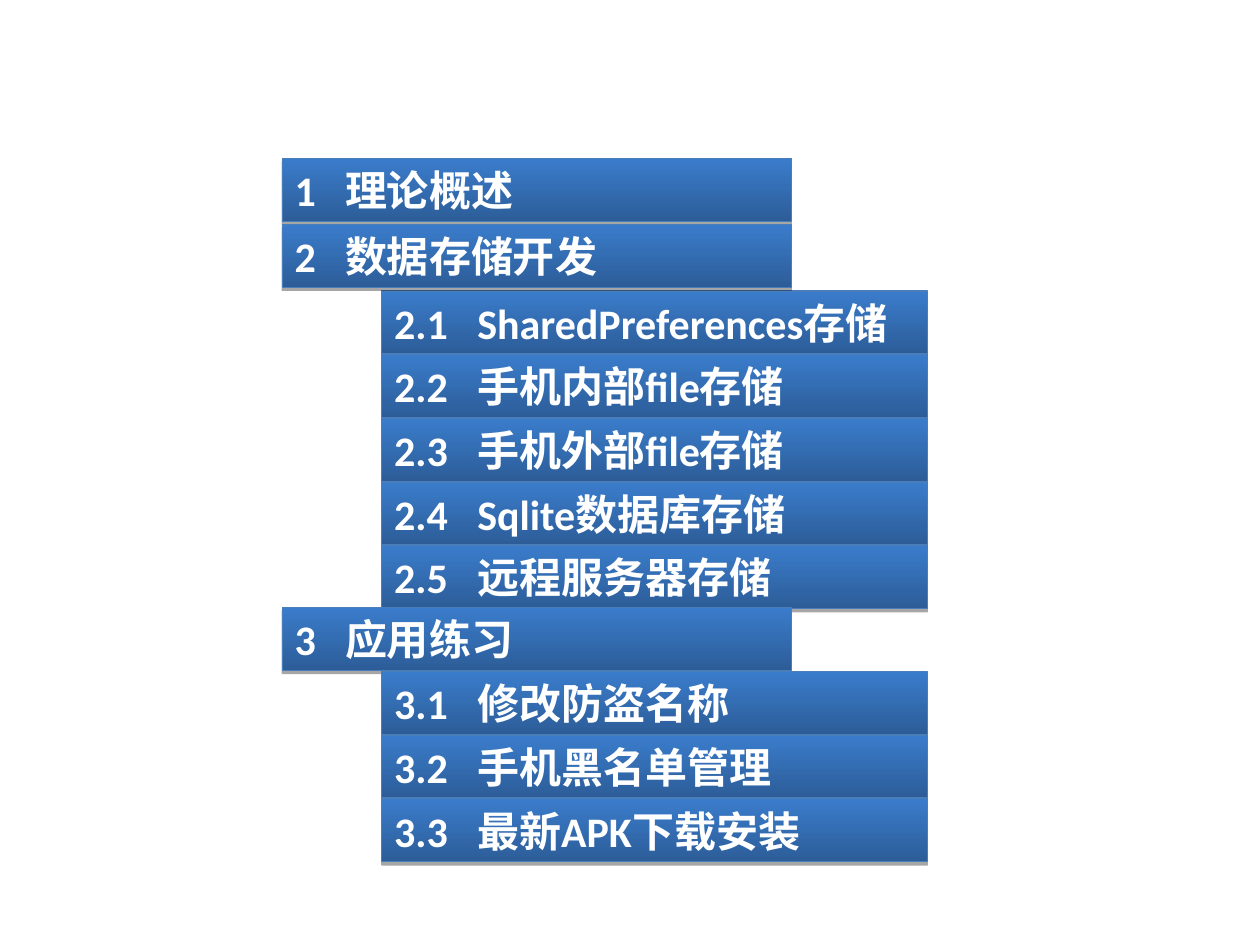
import pptx
import pptx.dml.color
import pptx.enum.shapes
import pptx.enum.text
import pptx.oxml
import pptx.oxml.ns
import pptx.util
from pptx.util import Inches

COLORS = {
    "bar_bottom": "2C5D98",
    "bar_top": "3A7CCB",
    "border": "4A7EBB",
    "shadow": "000000",
    "text": "FFFFFF",
}
BAR_HEIGHT = 0.5
SECTION_PITCH = 0.505

# Bars are stacked in this order; later ones overlap earlier ones.
CHAPTER_1 = (1.26, "1", "理论概述")
CHAPTER_2 = (1.78, "2", "数据存储开发")
CHAPTER_3 = (4.82, "3", "应用练习")
STORAGE_SECTIONS = [
    "SharedPreferences存储",
    "手机内部file存储",
    "手机外部file存储",
    "Sqlite数据库存储",
    "远程服务器存储",
]
PRACTICE_SECTIONS = ["修改防盗名称", "手机黑名单管理", "最新APK下载安装"]


def rgb(name):
    return pptx.dml.color.RGBColor.from_string(COLORS[name])


class Outline:
    """Holds the agenda style and the slide being filled."""

    font_name = "Calibri"
    font_size = pptx.util.Pt(24)

    def __init__(self, slide):
        self.slide = slide

    def bar(self, left, top, width, number, title, title_tab):
        """Draw one bar whose title starts at title_tab inches inside the text area."""
        bar = self.slide.shapes.add_shape(
            pptx.enum.shapes.MSO_SHAPE.RECTANGLE,
            Inches(left), Inches(top), Inches(width), Inches(BAR_HEIGHT),
        )
        bar.fill.gradient()
        bar.fill.gradient_angle = 90
        for stop, color in zip(bar.fill.gradient_stops, ("bar_bottom", "bar_top")):
            stop.color.rgb = rgb(color)
        bar.line.color.rgb = rgb("border")
        bar.line.width = pptx.util.Pt(0.75)
        self.drop_shadow(bar)

        frame = bar.text_frame
        frame.word_wrap = True
        frame.auto_size = pptx.enum.text.MSO_AUTO_SIZE.SHAPE_TO_FIT_TEXT
        frame.vertical_anchor = pptx.enum.text.MSO_ANCHOR.TOP
        entry = frame.paragraphs[0]
        entry.text = f"{number}\t{title}"
        entry.alignment = pptx.enum.text.PP_ALIGN.LEFT
        self.tab_stop(entry, title_tab)
        entry.font.name = self.font_name
        entry.font.size = self.font_size
        entry.font.bold = True
        entry.font.color.rgb = rgb("text")

    def drop_shadow(self, bar):
        bar.shadow.inherit = False
        effects = bar._element.spPr.find(pptx.oxml.ns.qn("a:effectLst"))
        effects.append(pptx.oxml.parse_xml(
            f'<a:outerShdw {pptx.oxml.ns.nsdecls("a")} blurRad="0" '
            f'dist="{pptx.util.Pt(1.8)}" dir="5400000" rotWithShape="0">'
            f'<a:srgbClr val="{COLORS["shadow"]}"><a:alpha val="35000"/></a:srgbClr>'
            '</a:outerShdw>'
        ))

    def tab_stop(self, paragraph, position):
        paragraph._p.get_or_add_pPr().append(pptx.oxml.parse_xml(
            f'<a:tabLst {pptx.oxml.ns.nsdecls("a")}>'
            f'<a:tab pos="{Inches(position)}" algn="l"/></a:tabLst>'
        ))

    def chapter(self, top, number, title):
        self.bar(2.24, top, 4.04, number, title, 0.4)

    def sections(self, top, chapter_number, titles):
        for index, title in enumerate(titles):
            self.bar(3.03, top + index * SECTION_PITCH, 4.33,
                     f"{chapter_number}.{index + 1}", title, 0.66)


def main():
    deck = pptx.Presentation()
    deck.slide_width = Inches(10)
    deck.slide_height = Inches(7.5)
    outline = Outline(deck.slides.add_slide(deck.slide_layouts[6]))

    outline.chapter(*CHAPTER_1)
    outline.sections(2.31, 2, STORAGE_SECTIONS)
    outline.chapter(*CHAPTER_3)
    outline.chapter(*CHAPTER_2)
    outline.sections(5.33, 3, PRACTICE_SECTIONS)

    deck.save("out.pptx")


if __name__ == "__main__":
    main()
